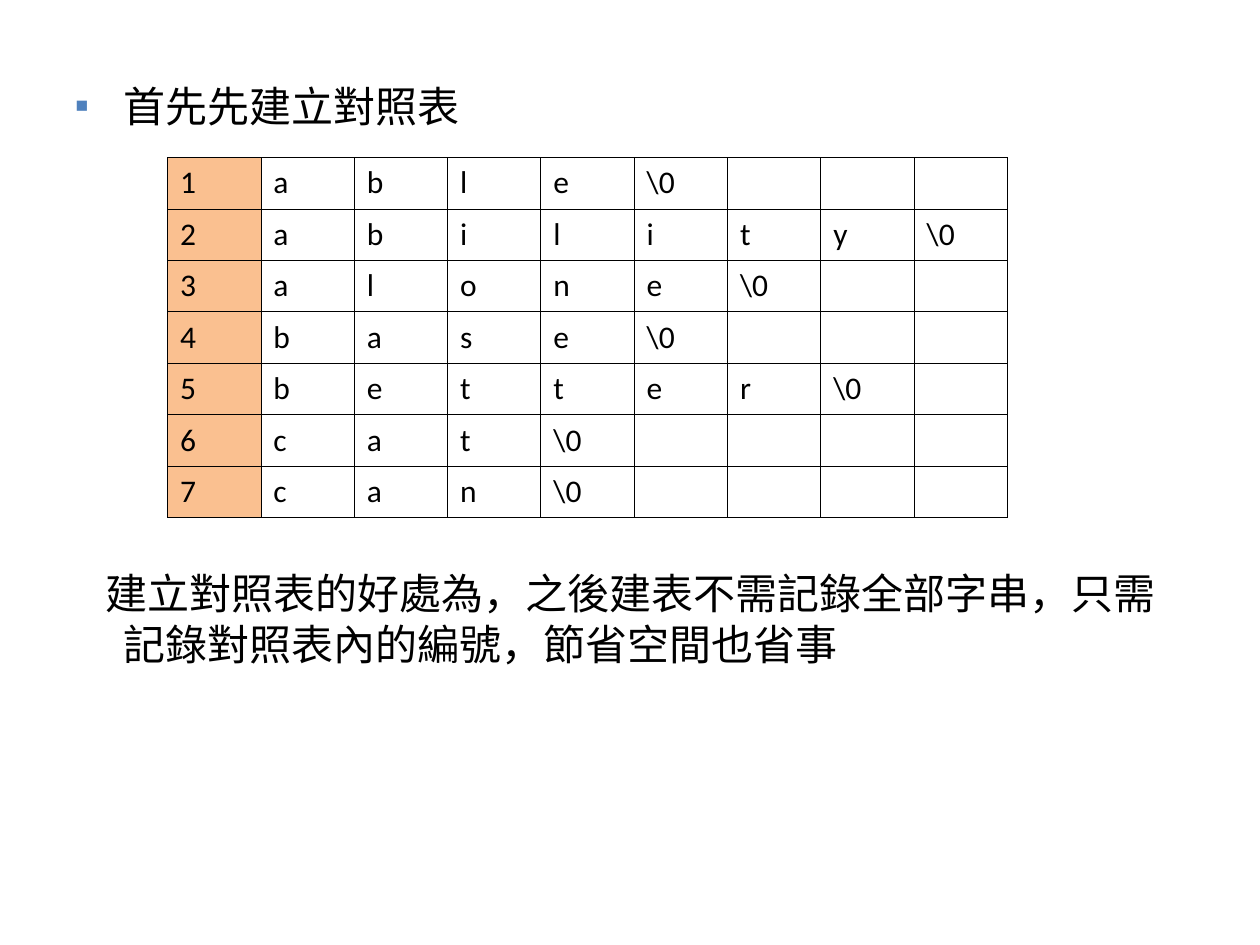
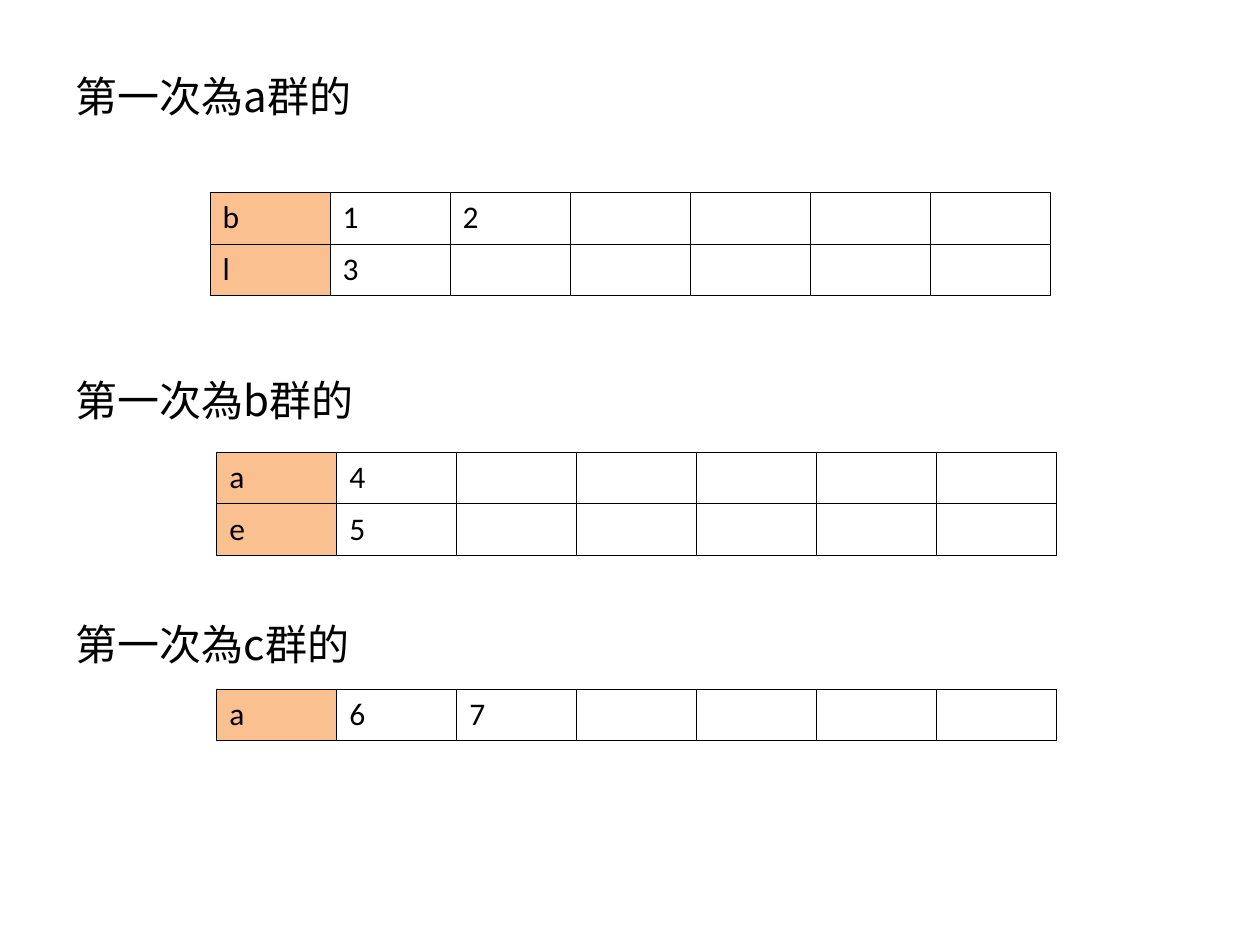
from lxml.etree import SubElement
from pptx import Presentation
from pptx.dml.color import RGBColor
from pptx.enum.text import MSO_AUTO_SIZE
from pptx.oxml.ns import qn
from pptx.util import Pt

BLACK, ORANGE, BULLET_BLUE = "000000", "FAC090", "4F81BD"
CJK_FONT = "Noto Sans CJK SC"
LINE, GAP, HANG = 28.8, 6, 27.36
ROW_HEIGHT, TABLE_WIDTH = 29.4, 480


def rgb(hex_color):
    return RGBColor.from_string(hex_color)


def add_grid(s, left, top, col_count, rows):
    """Add a ruled table with a tinted first column; short rows end in empty cells."""
    table = s.shapes.add_table(len(rows), col_count, Pt(left), Pt(top),
                               Pt(TABLE_WIDTH), Pt(ROW_HEIGHT * len(rows))).table
    table.first_row = table.horz_banding = False
    for column in table.columns:
        column.width = Pt(TABLE_WIDTH / col_count)
    for i, row in enumerate(rows):
        table.rows[i].height = Pt(ROW_HEIGHT)
        for j in range(col_count):
            cell = table.cell(i, j)
            tcPr = cell._tc.get_or_add_tcPr()
            for side in ("a:lnL", "a:lnR", "a:lnT", "a:lnB"):
                ln = SubElement(tcPr, qn(side), w=str(Pt(0.45)))
                fill = SubElement(ln, qn("a:solidFill"))
                SubElement(fill, qn("a:srgbClr"), val=BLACK)
            if j == 0:
                cell.fill.solid()
                cell.fill.fore_color.rgb = rgb(ORANGE)
            else:
                cell.fill.background()
            if j < len(row):
                r = cell.text_frame.paragraphs[0].add_run()
                r.text = row[j]
                r.font.name, r.font.size = "Calibri", Pt(18)
                r.font.color.rgb = rgb(BLACK)


words = ["able", "ability", "alone", "base", "better", "cat", "can"]
word_rows = [[str(n), *word, r"\0"] for n, word in enumerate(words, 1)]

# Paragraphs: text, lines left free above for a table, first-line indent, bullet
# Tables: left, top, column count, rows
slides = [
    {"top": 39.6, "height": 442.8,
     "paragraphs": [
         ("首先先建立對照表", 0, -HANG, True),
         ("建立對照表的好處為，之後建表不需記錄全部字串，只需記錄對照表內的編號，節省空間也省事",
          7, -10.5, False)],
     "tables": [(95.76, 90, 9, word_rows)]},
    {"top": 33.84, "height": 448.56,
     "paragraphs": [
         ("第一次為a群的", 0, -HANG, False),
         ("第一次為b群的", 4, -HANG, False),
         ("第一次為c群的", 3, -HANG, False)],
     "tables": [(120, 110, 7, [["b", "1", "2"], ["l", "3"]]),
                (123.84, 258.5, 7, [["a", "4"], ["e", "5"]]),
                (123.84, 393.84, 7, [["a", "6", "7"]])]},
]

prs = Presentation()
prs.slide_width, prs.slide_height = Pt(720), Pt(540)

for content in slides:
    s = prs.slides.add_slide(prs.slide_layouts[1])
    title = s.shapes.title._element
    title.getparent().remove(title)

    body = s.placeholders[1]
    box = {"left": 36, "top": content["top"], "width": 648, "height": content["height"]}
    for name, value in box.items():
        setattr(body, name, Pt(value))
    tf = body.text_frame
    tf.auto_size = MSO_AUTO_SIZE.NONE
    tf.margin_top = Pt(6.4)

    for i, (text, free_lines, indent, bullet) in enumerate(content["paragraphs"]):
        p = tf.add_paragraph() if i else tf.paragraphs[0]
        pPr = p._p.get_or_add_pPr()
        pPr.set("marL", str(Pt(HANG)))
        pPr.set("indent", str(Pt(indent)))
        p.line_spacing = Pt(LINE)
        p.space_before = Pt(GAP + free_lines * (LINE + GAP) if i else 0)
        if bullet:
            color = SubElement(pPr, qn("a:buClr"))
            SubElement(color, qn("a:srgbClr"), val=BULLET_BLUE)
            SubElement(pPr, qn("a:buSzPct"), val="50000")
            SubElement(pPr, qn("a:buFont"), typeface="Arial")
            SubElement(pPr, qn("a:buChar"), char="■")
        else:
            SubElement(pPr, qn("a:buNone"))
        r = p.add_run()
        r.text = text
        for name, value in {"name": CJK_FONT, "size": Pt(24)}.items():
            setattr(r.font, name, value)
        r.font.color.rgb = rgb(BLACK)
        SubElement(r._r.get_or_add_rPr(), qn("a:ea"), typeface=CJK_FONT)

    for left, top, col_count, rows in content["tables"]:
        add_grid(s, left, top, col_count, rows)

prs.save("out.pptx")
